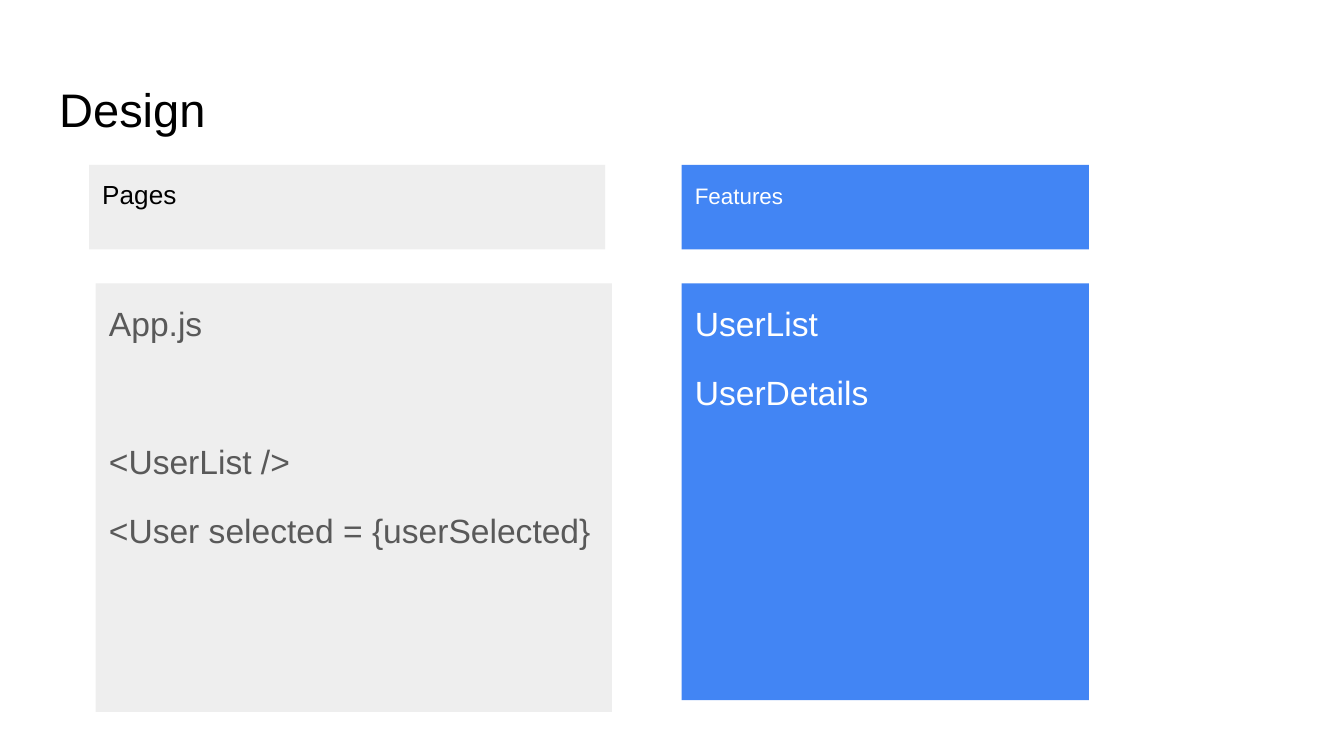
"""Build the Design slide: pages on the left, features on the right."""
from pptx import Presentation
from pptx.dml.color import RGBColor
from pptx.enum.shapes import MSO_SHAPE
from pptx.enum.text import MSO_ANCHOR, PP_ALIGN
from pptx.util import Pt

COLORS = {"black": "000000", "grey": "595959", "white": "FFFFFF",
          "panel": "EEEEEE", "blue": "4285F4"}


def write_lines(shape, lines, size, color, anchor=MSO_ANCHOR.TOP, spacing=1.0, gaps=()):
    frame = shape.text_frame
    frame.word_wrap = True
    frame.vertical_anchor = anchor
    frame.margin_left = frame.margin_right = Pt(7.2)
    frame.margin_top = frame.margin_bottom = Pt(7.2)
    frame.text = "\n".join(lines)
    for paragraph in frame.paragraphs:
        paragraph.alignment = PP_ALIGN.LEFT
        paragraph.line_spacing = spacing
        for run in paragraph.runs:
            run.font.name = "Arial"
            run.font.size = Pt(size)
            run.font.color.rgb = RGBColor.from_string(COLORS[color])
    for paragraph, gap in zip(frame.paragraphs[1:], gaps):
        paragraph.space_before = Pt(gap)


presentation = Presentation()
presentation.slide_width = Pt(720)
presentation.slide_height = Pt(405)
slide = presentation.slides.add_slide(presentation.slide_layouts[5])

title = slide.shapes.title
title.left, title.top, title.width, title.height = Pt(24.5), Pt(35), Pt(671), Pt(45.4)
write_lines(title, ["Design"], 25.2, "black", MSO_ANCHOR.BOTTOM)

header_top, header_height, body_top = 88.3, 45.3, 151.9
pages_width, features_left, features_width = 276.5, 365.2, 218.2

panels = [
    (51.3, body_top, pages_width, 229.5, "panel",
     ["App.js", "<UserList />", "<User selected = {userSelected}"], 18, "grey", 1.15, (49, 12)),
    (features_left, body_top, features_width, 223.2, "blue",
     ["UserList", "UserDetails"], 18, "white", 1.15, (12,)),
    (47.7, header_top, pages_width, header_height, "panel",
     ["Pages"], 14, "black", 1.0, ()),
    (features_left, header_top, features_width, header_height, "blue",
     ["Features"], 12, "white", 1.15, ()),
]
for left, top, width, height, fill, lines, size, color, spacing, gaps in panels:
    panel = slide.shapes.add_shape(MSO_SHAPE.RECTANGLE, Pt(left), Pt(top), Pt(width), Pt(height))
    panel.shadow.inherit = False
    panel.fill.solid()
    panel.fill.fore_color.rgb = RGBColor.from_string(COLORS[fill])
    panel.line.fill.background()
    write_lines(panel, lines, size, color, spacing=spacing, gaps=gaps)

presentation.save("out.pptx")
